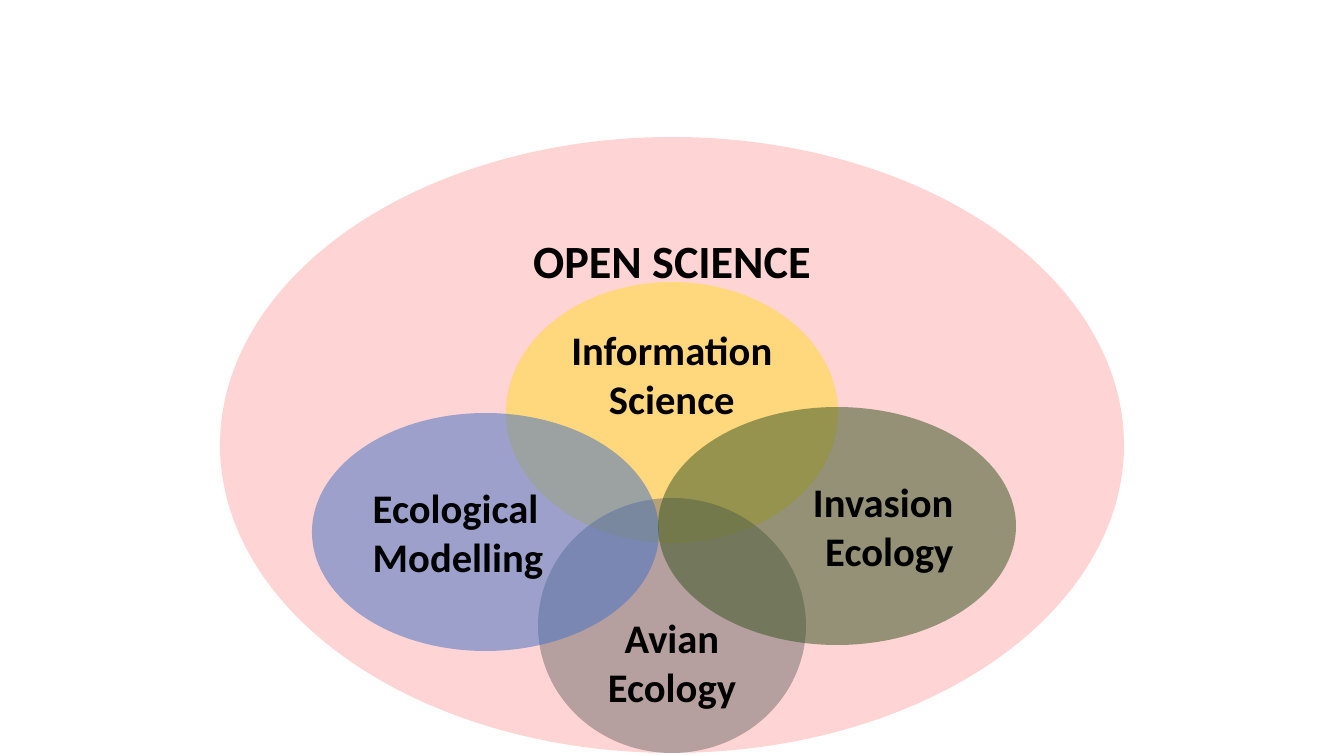
from lxml import etree
from pptx import Presentation
from pptx.dml.color import RGBColor
from pptx.enum.shapes import MSO_SHAPE
from pptx.enum.text import MSO_ANCHOR, PP_ALIGN
from pptx.oxml.ns import qn
from pptx.util import Pt

OVAL = MSO_SHAPE.OVAL
TOP, MIDDLE, BOTTOM = MSO_ANCHOR.TOP, MSO_ANCHOR.MIDDLE, MSO_ANCHOR.BOTTOM
LEFT, CENTER, RIGHT = PP_ALIGN.LEFT, PP_ALIGN.CENTER, PP_ALIGN.RIGHT

SCALE = 914400 / 100.8
COLORS = {
    "text": "000000",
    "open": "FF0000",
    "info": "FFD966",
    "avian": "767171",
    "model": "4472C4",
    "invade": "385723",
}

# label, colour, opacity in percent, box, text size, anchor, alignment
FIELDS = [
    ("OPEN SCIENCE", "open", 17, (220, 137, 904, 616), 33, TOP, CENTER),
    ("Information Science", "info", 79, (506, 282, 332, 261), 29, TOP, CENTER),
    ("Avian Ecology", "avian", 53, (538, 498, 268, 255), 29, BOTTOM, CENTER),
    ("Ecological Modelling", "model", 53, (312, 413, 347, 238), 29, MIDDLE, LEFT),
    ("Invasion Ecology", "invade", 53, (658, 407, 358, 238), 29, MIDDLE, RIGHT),
]


def px(value):
    return round(value * SCALE)


def color(name):
    return RGBColor.from_string(COLORS[name])


def set_alpha(shape, percent):
    """Make the solid fill of a shape partly transparent."""
    tone = shape._element.spPr.find(qn("a:solidFill"))[0]
    etree.SubElement(tone, qn("a:alpha"), val=str(percent * 1000))


def add_oval(slide, label, tint, alpha, box, size, anchor, align):
    oval = slide.shapes.add_shape(OVAL, *map(px, box))
    oval.shadow.inherit = False
    oval.fill.solid()
    oval.fill.fore_color.rgb = color(tint)
    set_alpha(oval, alpha)
    oval.line.fill.background()

    frame = oval.text_frame
    frame.word_wrap = True
    frame.vertical_anchor = anchor
    para = frame.paragraphs[0]
    para.text = label
    para.alignment = align
    para.font.name = "Calibri"
    para.font.size = Pt(size)
    para.font.bold = True
    para.font.color.rgb = color("text")


def main():
    deck = Presentation()
    deck.slide_width, deck.slide_height = px(1344), px(756)
    slide = deck.slides.add_slide(deck.slide_layouts[6])
    for field in FIELDS:
        add_oval(slide, *field)
    deck.save("out.pptx")


if __name__ == "__main__":
    main()
